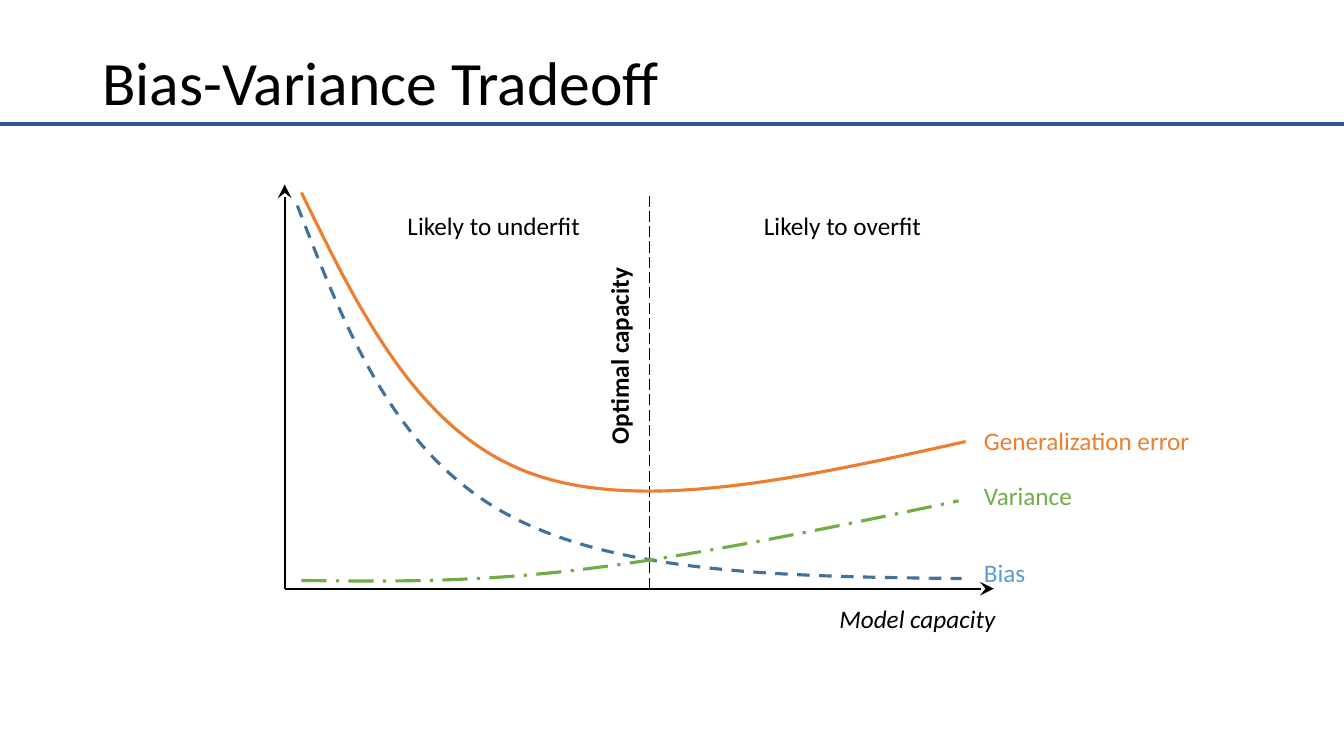
"""Build the bias-variance tradeoff slide."""
from lxml import etree
from pptx import Presentation
from pptx.dml.color import RGBColor
from pptx.enum import dml, shapes, text
from pptx.oxml.ns import qn
from pptx.util import Pt

THEME = {
    "font": "Calibri", "title": 44, "label": 18,
    "black": "000000", "rule": "2F5496", "error": "ED7D31",
    "bias": "42719B", "bias_label": "5B9BD5", "variance": "70AD47",
}
WIDTH, HEIGHT = 960, 540
ORIGIN = (203.4, 420.5)
OPTIMUM = 463.8
LABEL_WIDTH, LABEL_HEIGHT = 166.3, 29.1
REGION_TOP, CURVE_LABEL_LEFT = 146.9, 695.7
DASH, ALIGN = dml.MSO_LINE, text.PP_ALIGN

LINES = [
    {"start": (0, 88.6), "end": (WIDTH, 88.6), "color": "rule", "width": 2.25},
    {"start": ORIGIN, "end": (ORIGIN[0], 131.8), "width": 1.5, "arrow": True},
    {"start": ORIGIN, "end": (709.9, ORIGIN[1]), "width": 1.5, "arrow": True},
    {"start": (OPTIMUM, ORIGIN[1]), "end": (OPTIMUM, 140.2), "width": 1, "dash": DASH.LONG_DASH},
]
CURVES = [
    {"color": "error", "dash": None, "bottom": 350.6, "controls": [
        (215.3, 137.5), (257, 223.2), (298.8, 308.2), (378, 337.7),
        (457.2, 367.2), (573.8, 341.3), (689.8, 315.4)]},
    {"color": "bias", "dash": DASH.DASH, "bottom": 413.3, "controls": [
        (212.4, 146.9), (246.2, 234), (280.1, 321.1), (359.3, 365.8),
        (438.5, 410.4), (562.3, 411.8), (686.9, 413.3)]},
    {"color": "variance", "dash": DASH.LONG_DASH_DOT, "bottom": 414.9, "controls": [
        (215.3, 414.7), (276.5, 415.4), (337.7, 416.2), (415.4, 406.8),
        (493.9, 397.4), (589, 378), (684.7, 357.8)]},
]
LABELS = [
    {"text": "Likely to underfit", "at": (269.5, REGION_TOP), "align": ALIGN.CENTER},
    {"text": "Likely to overfit", "at": (518.6, REGION_TOP), "align": ALIGN.CENTER},
    {"text": "Generalization error", "at": (CURVE_LABEL_LEFT, 300.5), "color": "error"},
    {"text": "Variance", "at": (CURVE_LABEL_LEFT, 339.8), "color": "variance"},
    {"text": "Bias", "at": (CURVE_LABEL_LEFT, 394.6), "color": "bias_label"},
    {"text": "Model capacity", "at": (551.8, 427.7), "align": ALIGN.RIGHT,
     "font": {"italic": True}},
    {"text": "Optimal capacity", "at": (341.6, 236.2), "size": (208.1, 36),
     "align": ALIGN.CENTER, "font": {"bold": True}, "rotation": 270},
    {"text": "Bias-Variance Tradeoff", "at": (66, 28.1), "size": (828, 65.5),
     "type": "title", "spacing": 0.9,
     "frame": {"vertical_anchor": text.MSO_ANCHOR.MIDDLE,
               "auto_size": text.MSO_AUTO_SIZE.NONE}},
]


def set_all(target, values):
    for name, value in values.items():
        setattr(target, name, value)


def color(name):
    return RGBColor.from_string(THEME[name])


def style_line(line, color_name, width, dash):
    line.color.rgb = color(color_name)
    set_all(line, {"width": Pt(width), "dash_style": dash})


def add_line(slide, line):
    ends = [Pt(value) for value in (*line["start"], *line["end"])]
    connector = slide.shapes.add_connector(shapes.MSO_CONNECTOR.STRAIGHT, *ends)
    style_line(connector.line, line.get("color", "black"), line["width"], line.get("dash"))
    properties = connector._element.spPr
    if line.get("arrow"):
        etree.SubElement(properties.find(qn("a:ln")), qn("a:tailEnd"),
                         type="stealth", w="lg", len="lg")
    etree.SubElement(properties, qn("a:effectLst"))


def add_curve(slide, curve):
    points = [(Pt(x), Pt(y)) for x, y in curve["controls"]]
    builder = slide.shapes.build_freeform(*points[0])
    builder.add_line_segments([(points[-1][0], Pt(curve["bottom"])), points[-1]], close=False)
    shape = builder.convert_to_shape()
    outline = next(shape._element.iter(qn("a:path")))
    for segment in outline.findall(qn("a:lnTo")):
        outline.remove(segment)
    for first in range(1, len(points), 3):
        bezier = etree.SubElement(outline, qn("a:cubicBezTo"))
        for x, y in points[first:first + 3]:
            etree.SubElement(bezier, qn("a:pt"), x=str(x - shape.left), y=str(y - shape.top))
    shape.shadow.inherit = False
    shape.fill.background()
    style_line(shape.line, curve["color"], 2.25, curve["dash"])


def add_label(slide, label):
    size = label.get("size", (LABEL_WIDTH, LABEL_HEIGHT))
    box = slide.shapes.add_textbox(*[Pt(value) for value in (*label["at"], *size)])
    box.rotation = label.get("rotation", 0)
    frame = {"word_wrap": True, "auto_size": text.MSO_AUTO_SIZE.SHAPE_TO_FIT_TEXT}
    set_all(box.text_frame, frame | label.get("frame", {}))
    paragraph = box.text_frame.paragraphs[0]
    set_all(paragraph, {"alignment": label.get("align", ALIGN.LEFT),
                        "line_spacing": label.get("spacing")})
    run = paragraph.add_run()
    run.text = label["text"]
    font = {"name": THEME["font"], "size": Pt(THEME[label.get("type", "label")])}
    set_all(run.font, font | label.get("font", {}))
    run.font.color.rgb = color(label.get("color", "black"))


def main():
    presentation = Presentation()
    set_all(presentation, {"slide_width": Pt(WIDTH), "slide_height": Pt(HEIGHT)})
    slide = presentation.slides.add_slide(presentation.slide_layouts[6])
    for line in LINES:
        add_line(slide, line)
    for curve in CURVES:
        add_curve(slide, curve)
    for label in LABELS:
        add_label(slide, label)
    presentation.save("out.pptx")


if __name__ == "__main__":
    main()
